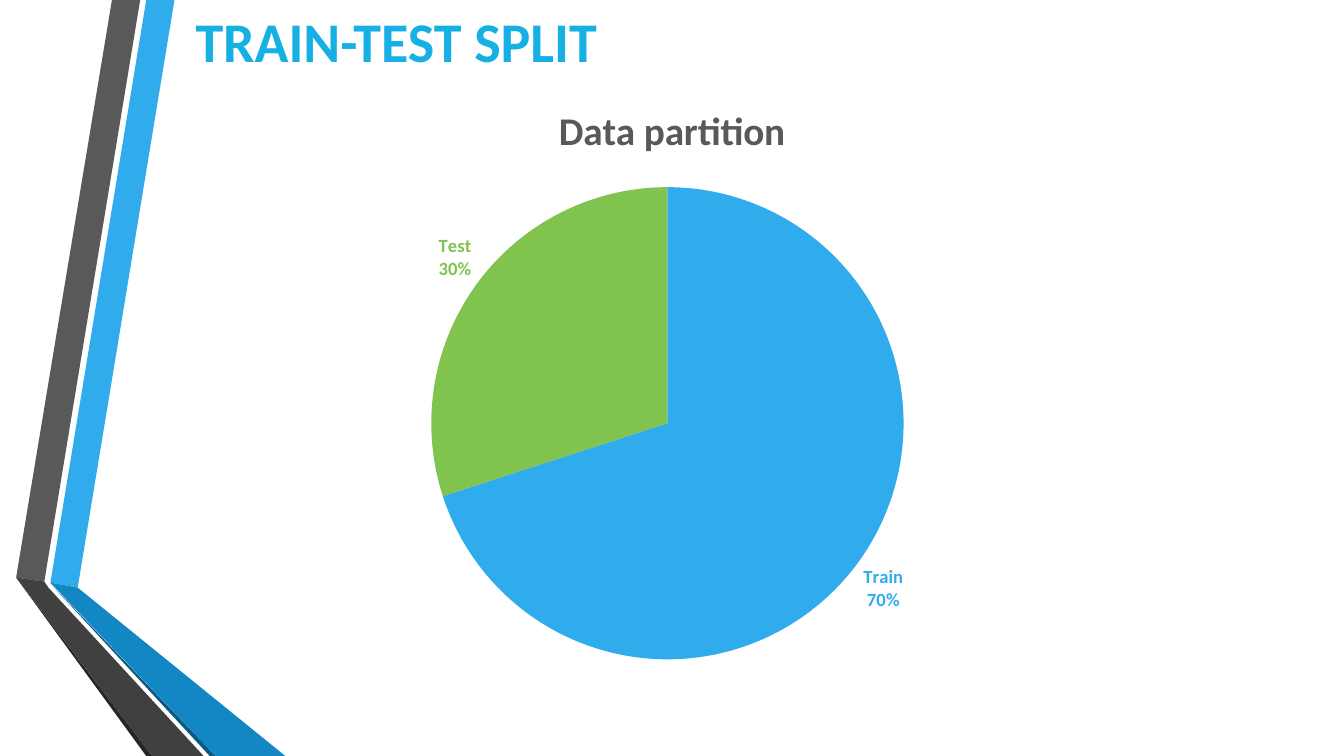
from dataclasses import dataclass

from lxml import etree
from pptx import Presentation
from pptx import util as u
from pptx.chart import data as cd
from pptx.dml import color
from pptx.enum import chart as ec, text
from pptx.oxml import ns


@dataclass(frozen=True)
class Theme:
    font: str = "Calibri"
    heading: str = "17B0E4"
    blue: str = "30ACEC"
    blue_mid: str = "1287C3"
    blue_dark: str = "0C5A82"
    green: str = "80C34F"
    grey: str = "595959"
    grey_mid: str = "404040"
    grey_dark: str = "262626"
    title_pt: float = 40
    chart_title_pt: float = 28
    label_pt: float = 13.3


@dataclass(frozen=True)
class Box:
    x: float
    y: float
    w: float
    h: float

    def point(self, col, row):
        return round(self.x + self.w * col / 100), round(self.y + self.h * row / 100)

    def region(self, col, row, cols, rows):
        return Box(*self.point(col, row), round(self.w * cols / 100), round(self.h * rows / 100))

    def edges(self):
        return self.x, self.y, self.w, self.h


theme = Theme()


def rgb(value):
    return color.RGBColor.from_string(value)


def style(font, size, fill):
    font.name = theme.font
    font.size = u.Pt(size)
    font.bold = True
    font.color.rgb = rgb(fill)


def add_run(p, words, size, fill):
    r = p.add_run()
    r.text = words
    style(r.font, size, fill)


def add_ribbons(s, box):
    facets = [
        (theme.blue, [(3.75, 77.07), (5.78, 77.73), (12.98, 0), (10.88, 0)]),
        (theme.grey, [(10.43, 0), (8.33, 0), (1.2, 76.4), (3.3, 76.93)]),
        (theme.grey_dark, [(1.2, 76.4), (10.88, 100), (11.33, 100)]),
        (theme.blue_dark, [(3.75, 77.2), (15.6, 100), (16.05, 100)]),
        (theme.blue_mid, [(3.75, 77.07), (16.05, 100), (21.23, 100), (5.78, 77.73)]),
        (theme.grey_mid, [(15.15, 100), (3.6, 77.73), (3.3, 76.93), (1.2, 76.4), (11.33, 100)]),
    ]
    for fill, corners in facets:
        points = [box.point(*corner) for corner in corners]
        outline = s.shapes.build_freeform(*points[0])
        outline.add_line_segments(points[1:], close=True)
        sp = outline.convert_to_shape()
        sp.shadow.inherit = False
        sp.fill.solid()
        sp.fill.fore_color.rgb = rgb(fill)
        sp.line.fill.background()


def add_title(s, box):
    sp = s.shapes.title
    sp.left, sp.top, sp.width, sp.height = box.edges()
    tf = sp.text_frame
    tf.word_wrap = True
    tf.auto_size = text.MSO_AUTO_SIZE.NONE
    tf.vertical_anchor = text.MSO_ANCHOR.TOP
    p = tf.paragraphs[0]
    p.alignment = text.PP_ALIGN.LEFT
    add_run(p, "TRAIN-TEST SPLIT", theme.title_pt, theme.heading)


def set_plot_area(chart, **shares):
    area = chart.plots[0]._element.getparent()
    for old in area.findall(ns.qn("c:layout")):
        area.remove(old)
    layout = etree.Element(ns.qn("c:layout"))
    manual = etree.SubElement(layout, ns.qn("c:manualLayout"))
    settings = {"layoutTarget": "inner", "xMode": "edge", "yMode": "edge", **shares}
    for tag, value in settings.items():
        etree.SubElement(manual, ns.qn("c:" + tag)).set("val", str(value))
    area.insert(0, layout)


def add_partition_chart(s, box):
    slices = [("Train", 70, theme.blue), ("Test", 30, theme.green)]
    data = cd.CategoryChartData()
    data.categories = [name for name, _, _ in slices]
    data.add_series("Series 1", [share for _, share, _ in slices])
    chart = s.shapes.add_chart(ec.XL_CHART_TYPE.PIE, *box.edges(), data).chart
    chart.has_legend = False
    chart.font.name = theme.font
    chart.font.size = u.Pt(theme.label_pt)
    chart.has_title = True
    chart.chart_title.include_in_layout = False
    add_run(chart.chart_title.text_frame.paragraphs[0], "Data partition",
            theme.chart_title_pt, theme.grey)
    set_plot_area(chart, x=0.23, y=0.18, w=0.53, h=0.79)

    plot = chart.plots[0]
    plot.vary_by_categories = True
    for i, (_, _, fill) in enumerate(slices):
        point = plot.series[0].points[i]
        point.format.fill.solid()
        point.format.fill.fore_color.rgb = rgb(fill)
        point.format.line.fill.background()
        label = point.data_label
        style(label.font, theme.label_pt, fill)
        label.position = ec.XL_LABEL_POSITION.OUTSIDE_END
        shown = label._dLbl
        for tag, on in (("showVal", 0), ("showCatName", 1), ("showPercent", 1)):
            shown.find(ns.qn("c:" + tag)).set("val", str(on))
        separator = etree.Element(ns.qn("c:separator"))
        separator.text = "\n"
        shown.find(ns.qn("c:showBubbleSize")).addnext(separator)


prs = Presentation()
prs.slide_width, prs.slide_height = u.Inches(13.33), u.Inches(7.5)
page = Box(0, 0, prs.slide_width, prs.slide_height)
s = prs.slides.add_slide(prs.slide_layouts.get_by_name("Title Only"))
add_ribbons(s, page)
add_title(s, page.region(13.8, 0.13, 38.85, 10.27))
add_partition_chart(s, page.region(16.65, 10.53, 66.7, 79.07))
prs.save("out.pptx")
